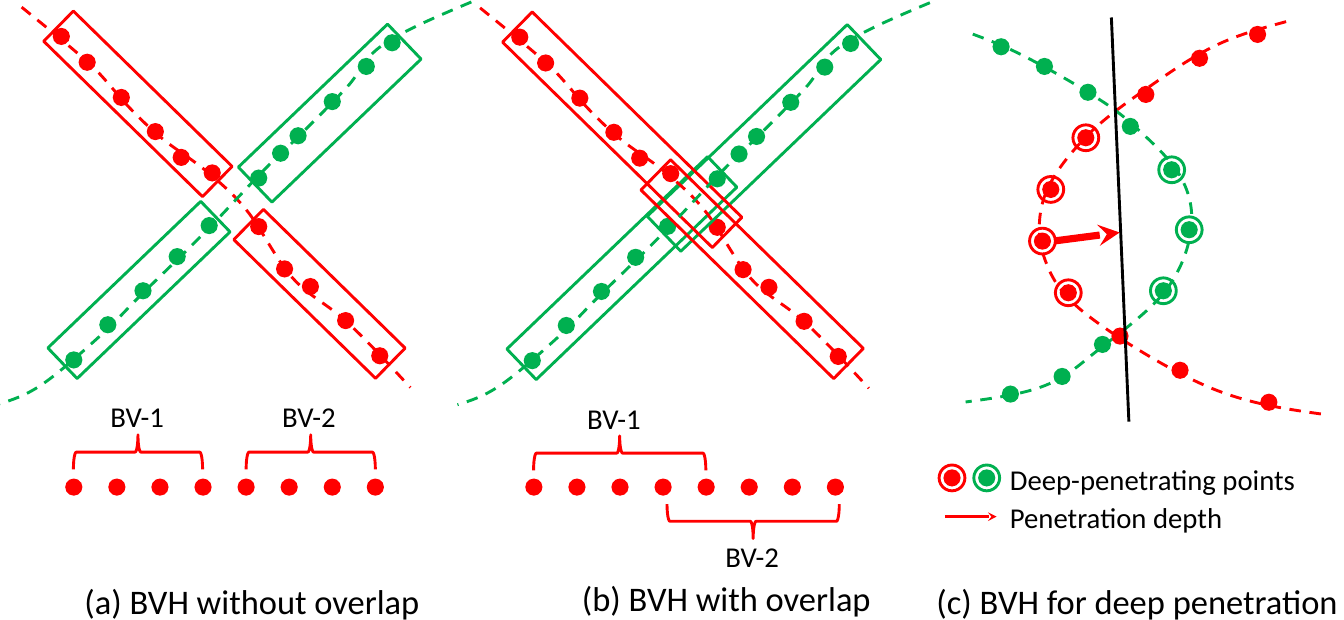
"""Draw three panels on bounding volume hierarchies and deep penetration."""

from dataclasses import dataclass, replace
from typing import Any, Optional

from lxml.etree import SubElement
from pptx import Presentation
from pptx.dml.color import RGBColor
from pptx.enum.dml import MSO_LINE
from pptx.enum.shapes import MSO_CONNECTOR, MSO_SHAPE
from pptx.enum.text import MSO_AUTO_SIZE
from pptx.oxml.ns import qn
from pptx.util import Pt

RED = RGBColor(0xFF, 0x00, 0x00)
GREEN = RGBColor(0x00, 0xB0, 0x50)
BLACK = RGBColor(0x00, 0x00, 0x00)
THIN = {"width": Pt(2)}
DASH = {"width": Pt(2), "dash_style": MSO_LINE.DASH}
FRAME = {"word_wrap": False, "auto_size": MSO_AUTO_SIZE.SHAPE_TO_FIT_TEXT}
DOT, RING, STEP, BRACE = 12, 18, 30, 24
SHIFT = (319.3, 0.5)

Point = tuple[float, float]


@dataclass(frozen=True)
class Form:
    kind: MSO_SHAPE
    mid: Point
    wide: float
    high: float
    hue: RGBColor
    turn: float = 0
    solid: bool = False


@dataclass(frozen=True)
class Curve:
    knots: list[Point]
    hue: RGBColor


@dataclass(frozen=True)
class Label:
    text: str
    left: float
    top: float
    wide: float
    size: int = 20


@dataclass(frozen=True)
class Link:
    start: Point
    end: Point
    hue: RGBColor
    width: float = 2
    head: Optional[str] = None


def apply(item: Any, form: dict[str, Any]) -> None:
    for name, value in form.items():
        setattr(item, name, value)


def stroke(shape: Any, hue: RGBColor, form: dict[str, Any]) -> None:
    shape.line.color.rgb = hue
    apply(shape.line, form)


def move(spot: Point, shift: Point) -> Point:
    return spot[0] + shift[0], spot[1] + shift[1]


def blend(a: Point, b: Point, part: float) -> Point:
    return a[0] + (b[0] - a[0]) * part, a[1] + (b[1] - a[1]) * part


def lean(spot: Point, back: Point, front: Point, sign: int) -> Point:
    return tuple(s + sign * (f - b) / 6 for s, b, f in zip(spot, back, front))


def smooth(knots: list[Point]) -> list[Point]:
    track: list[Point] = []
    last = len(knots) - 2
    for i in range(last + 1):
        a, b = knots[i], knots[i + 1]
        out = lean(a, knots[i - 1], b, 1) if i else None
        into = lean(b, a, knots[i + 2], -1) if i < last else None
        track += [out or blend(a, into, 0.5), into or blend(out, b, 0.5), b]
    return track


def dot(mid: Point, hue: RGBColor) -> Form:
    return Form(MSO_SHAPE.OVAL, mid, DOT, DOT, hue, solid=True)


def ring(mid: Point, hue: RGBColor) -> Form:
    return Form(MSO_SHAPE.OVAL, mid, RING, RING, hue)


def box(x: float, y: float, wide: float, high: float, hue: RGBColor) -> Form:
    turn = 44.4 if hue == RED else -43.8
    return Form(MSO_SHAPE.RECTANGLE, (x, y), wide, high, hue, turn)


def brace(x: float, y: float, span: float, turn: float) -> Form:
    return Form(MSO_SHAPE.RIGHT_BRACE, (x, y), BRACE, span, RED, turn)


def draw_form(shapes: Any, form: Form) -> None:
    left, top = form.mid[0] - form.wide / 2, form.mid[1] - form.high / 2
    shape = shapes.add_shape(form.kind, Pt(left), Pt(top), Pt(form.wide), Pt(form.high))
    shape.shadow.inherit = False
    shape.rotation = form.turn
    if form.solid:
        shape.fill.solid()
        shape.fill.fore_color.rgb = form.hue
        shape.line.fill.background()
    else:
        shape.fill.background()
        stroke(shape, form.hue, THIN)


def draw_curve(shapes: Any, curve: Curve) -> None:
    first, *rest = [(Pt(x), Pt(y)) for x, y in [curve.knots[0], *smooth(curve.knots)]]
    pen = shapes.build_freeform(*first)
    pen.add_line_segments(rest, close=False)
    shape = pen.convert_to_shape()
    shape.shadow.inherit = False
    shape.fill.background()
    stroke(shape, curve.hue, DASH)
    trace = shape.element.xpath(".//a:path")[0]
    legs = trace.findall(qn("a:lnTo"))
    for i in range(0, len(legs), 3):
        bend = SubElement(trace, qn("a:cubicBezTo"))
        for leg in legs[i:i + 3]:
            bend.append(leg[0])
            trace.remove(leg)


def draw_label(shapes: Any, label: Label) -> None:
    high = label.size * 1.2 + 7.2
    area = (label.left, label.top, label.wide, high)
    frame = shapes.add_textbox(*map(Pt, area)).text_frame
    apply(frame, FRAME)
    run = frame.paragraphs[0].add_run()
    run.text = label.text
    apply(run.font, {"name": "Calibri", "size": Pt(label.size)})
    run.font.color.rgb = BLACK


def draw_link(shapes: Any, link: Link) -> None:
    ends = map(Pt, (*link.start, *link.end))
    line = shapes.add_connector(MSO_CONNECTOR.STRAIGHT, *ends)
    stroke(line, link.hue, {"width": Pt(link.width)})
    if link.head:
        SubElement(line.line._get_or_add_ln(), qn("a:tailEnd"), type=link.head)
    SubElement(line.element.spPr, qn("a:effectLst"))


CROSS = {
    RED: [(42.7, 25.4), (60.7, 43.4), (84.5, 67.9), (108.2, 91.7), (126.2, 109.7), (147.8, 120.5),
          (180.2, 157.9), (198.2, 187.4), (216.2, 199.7), (240.7, 223.4), (264.5, 247.9)],
    GREEN: [(273.1, 29.8), (255.1, 46.3), (231.4, 70.8), (207.6, 94.6), (195.4, 106.8), (180.2, 124.1),
            (145.7, 157.2), (123.4, 178.8), (99.6, 202.6), (75.1, 226.3), (51.4, 250.8)]}
PATHS = [
    Curve([(15.1, 5), (51.1, 34.6), (68.4, 50.4), (91.4, 76.3), (113.8, 97.2), (144, 119.5),
           (172.1, 146.9), (203.8, 193.7), (241.9, 224.6), (285.8, 270)], RED),
    Curve([(328.3, 1.4), (267.1, 31), (241.9, 60.5), (209.5, 93.6), (184.3, 118.1), (142.6, 162),
           (97.9, 205.9), (70.6, 233.3), (29.5, 267.8), (-0.7, 281.5)], GREEN)]
APART = [box(96.8, 202, 147.6, 29.5, GREEN), box(229.7, 78.8, 144, 33.8, GREEN),
         box(96.1, 72.4, 154.8, 29.5, RED), box(222.5, 204.8, 138.2, 29.5, RED)]
SHARED = [box(433.1, 186.8, 193.7, 29.5, GREEN), box(532.1, 96.1, 193, 33.8, GREEN),
          box(433.4, 90.4, 204.5, 29.5, RED), box(523.8, 187.6, 187.9, 29.5, RED)]
DEEP = {
    GREEN: [(697.2, 32.6), (727.4, 46.3), (757.7, 64.3), (787.2, 88.1), (816, 118.3),
            (828.2, 160.1), (810.2, 202.6), (767.8, 240), (739.7, 262.3), (703.7, 274.6)],
    RED: [(875.8, 24), (835.4, 40.6), (798, 65.8), (756.2, 96), (731.8, 132),
          (726, 168), (744, 204), (780, 234.2), (821.8, 258), (883.7, 280.3)]}
INNER = {GREEN: slice(4, 7), RED: slice(3, 7)}
ARCS = [
    Curve([(895.7, 15.1), (848.2, 31), (803.5, 58.3), (756.7, 95), (727.2, 137.5),
           (727.9, 181.4), (758.2, 220.3), (842.4, 270), (921.6, 288.7)], RED),
    Curve([(677.5, 23.8), (711.4, 38.2), (757.4, 64.1), (789.1, 87.1), (822.2, 123.1),
           (829.4, 160.6), (811.4, 203), (765.4, 243.4), (727.9, 268.6), (672.5, 280.1)], GREEN)]
KEYS = {RED: (663, 333), GREEN: (687.2, 333)}
BRACES = [brace(96.1, 315, 90, 270), brace(216.4, 315, 90, 270),
          brace(431.6, 315.7, 120, 270), brace(524.5, 363.2, 120, 90)]
LABELS = [Label("(a) BVH without overlap", 51.8, 400.3, 249.8, 24),
          Label("(b) BVH with overlap", 398.2, 398.9, 217.4, 24),
          Label("(c) BVH for deep penetration", 645.1, 400.3, 296.6, 24),
          Label("BV-1", 69.8, 274.3, 53.3), Label("BV-2", 189.4, 274.3, 53.3),
          Label("BV-1", 401.8, 275.8, 53.3), Label("BV-2", 498.2, 372.2, 53.3),
          Label("Deep-penetrating points", 696.2, 318.2, 215.3),
          Label("Penetration depth", 696.2, 344.9, 164.2)]
LINKS = [Link((774, 12.2), (786.2, 293.8), BLACK),
         Link((735.1, 167.8), (779.8, 162), RED, 5, "stealth"),
         Link((658.1, 360), (694.1, 360), RED, head="stealth")]

deck = Presentation()
apply(deck, {"slide_width": Pt(936), "slide_height": Pt(432)})
shapes = deck.slides.add_slide(deck.slide_layouts[6]).shapes

for shift, boxes in (((0, 0), APART), (SHIFT, SHARED)):
    dots = [dot(move(mid, shift), hue) for hue, mids in CROSS.items() for mid in mids]
    for form in dots + boxes:
        draw_form(shapes, form)
    for curve in PATHS:
        draw_curve(shapes, replace(curve, knots=[move(knot, shift) for knot in curve.knots]))

for arc in ARCS:
    draw_curve(shapes, arc)
rows = [dot((start + STEP * i, 339.4), RED) for start in (51.4, 371.8) for i in range(8)]
dots = [dot(mid, hue) for hue, mids in DEEP.items() for mid in mids]
rings = [ring(mid, hue) for hue, part in INNER.items() for mid in DEEP[hue][part]]
keys = [make(mid, hue) for hue, mid in KEYS.items() for make in (dot, ring)]
for form in rows + BRACES + dots + rings + keys:
    draw_form(shapes, form)
for link in LINKS:
    draw_link(shapes, link)
for label in LABELS:
    draw_label(shapes, label)

deck.save("out.pptx")
